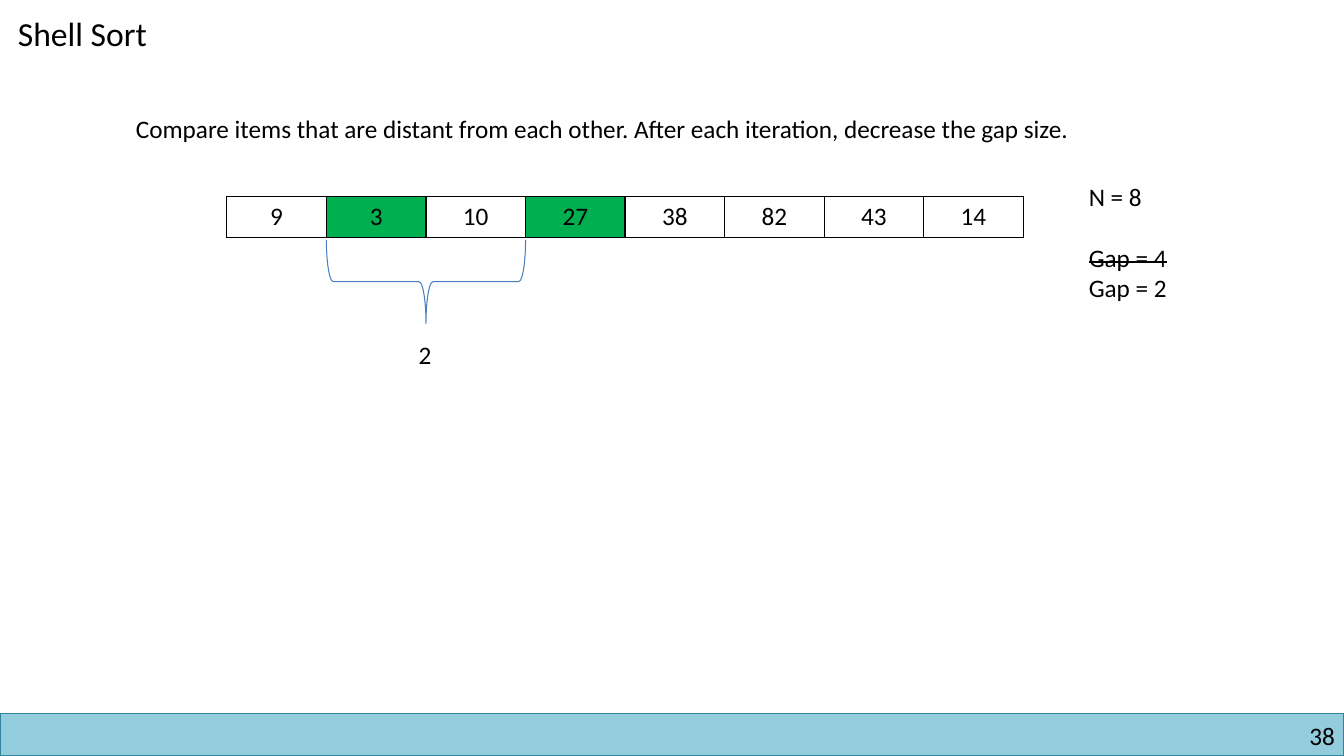
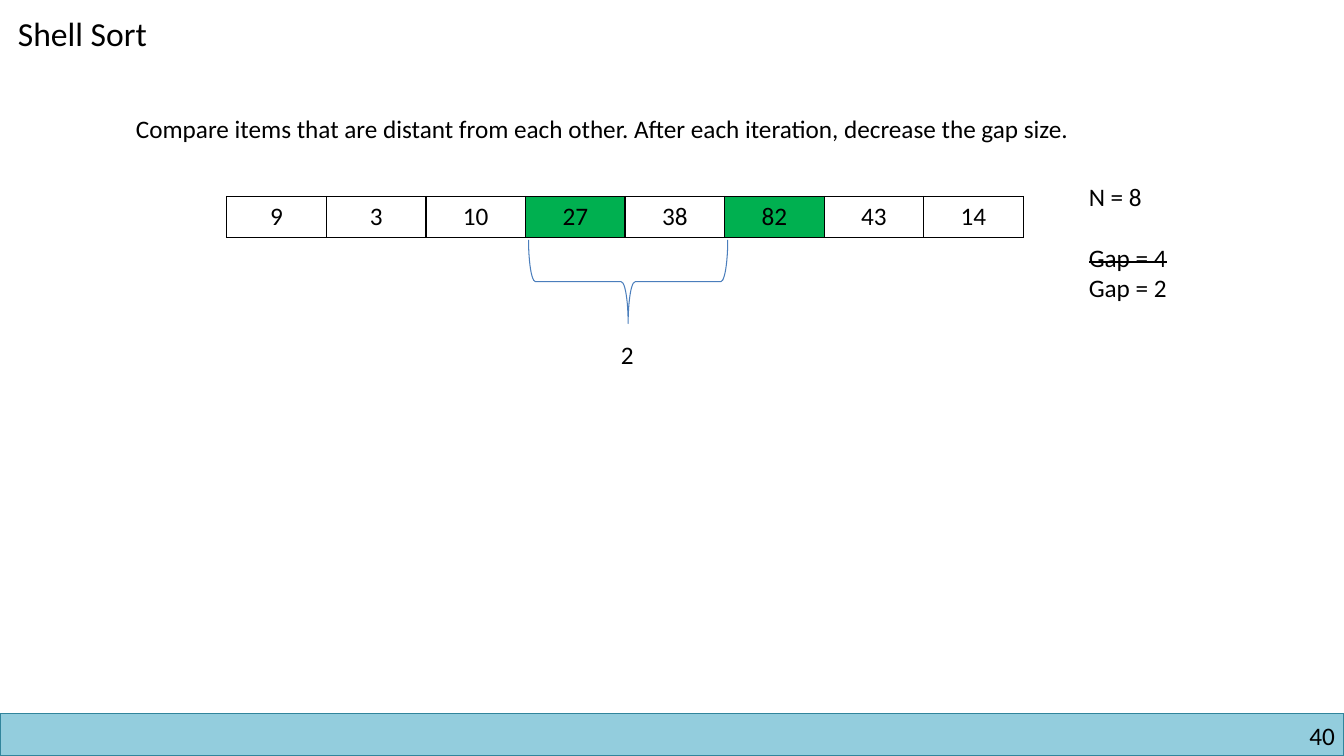
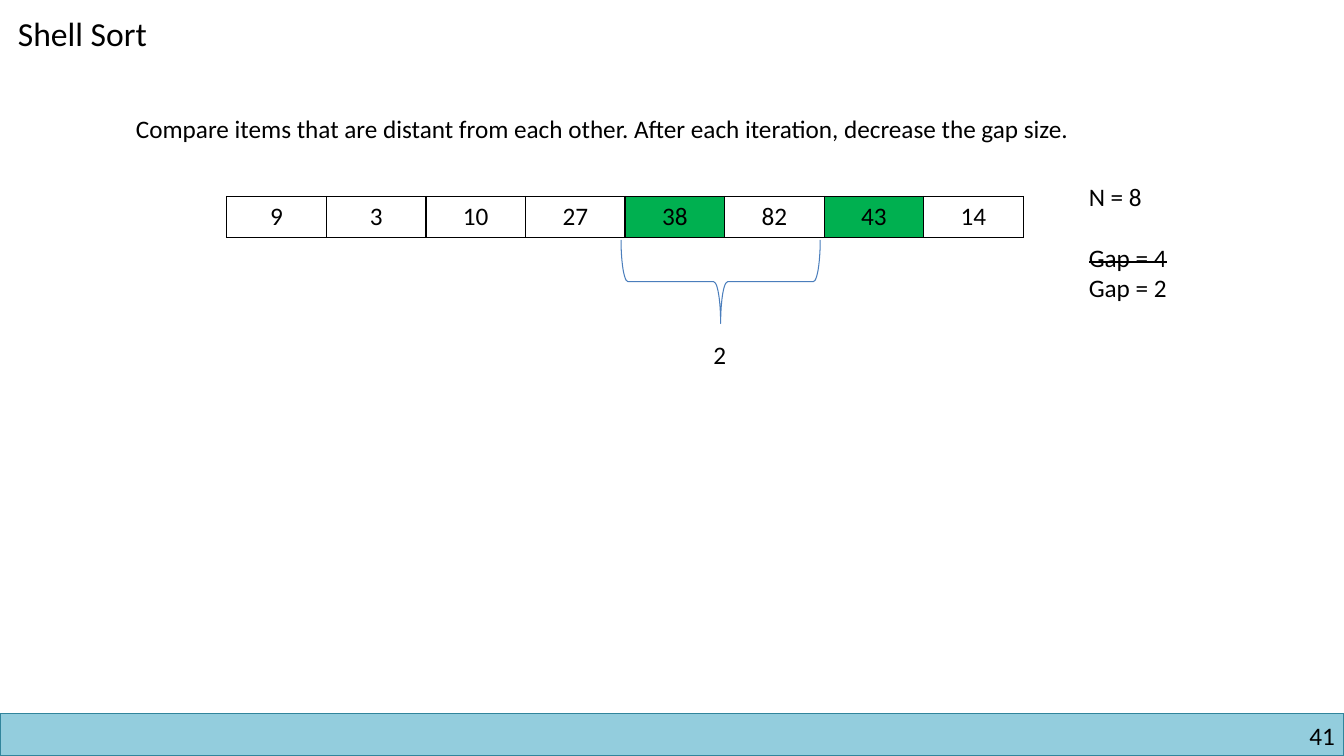
from dataclasses import dataclass

from lxml import etree
from pptx import Presentation
from pptx.dml.color import RGBColor
from pptx.enum.shapes import MSO_SHAPE
from pptx.enum.text import MSO_ANCHOR, PP_ALIGN
from pptx.oxml.ns import qn
from pptx.util import Inches, Pt

RECTANGLE, LEFT_BRACE = MSO_SHAPE.RECTANGLE, MSO_SHAPE.LEFT_BRACE
LEFT, CENTER, RIGHT = PP_ALIGN.LEFT, PP_ALIGN.CENTER, PP_ALIGN.RIGHT
MIDDLE = MSO_ANCHOR.MIDDLE

BLACK = RGBColor(0x00, 0x00, 0x00)
WHITE = RGBColor(0xFF, 0xFF, 0xFF)
GREEN = RGBColor(0x00, 0xB0, 0x50)
BRACE_BLUE = RGBColor(0x4B, 0x7E, 0xBC)
BAND_FILL = RGBColor(0x93, 0xCD, 0xDD)
BAND_LINE = RGBColor(0x31, 0x85, 0x9C)

FONT = "Calibri"
TITLE_SIZE, BODY_SIZE = 24, 18
LINE_HEIGHT = 22  # points, one line of body text

SLIDE_W, SLIDE_H = 13.33, 7.5
BAND_H = 0.42
ARRAY_LEFT, ARRAY_TOP = 2.25, 1.95
ARRAY_W, ARRAY_H = 7.9, 0.41
BRACE_TOP, BRACE_DEPTH = 2.38, 0.83
LABEL_TOP, LABEL_W, LABEL_H = 3.32, 0.34, 0.4

TITLE = "Shell Sort"
STATEMENT = ("Compare items that are distant from each other. "
             "After each iteration, decrease the gap size.")
ITEMS = (9, 3, 10, 27, 38, 82, 43, 14)
GAP, OLD_GAP = 2, 4
COL_W = ARRAY_W / len(ITEMS)


@dataclass(frozen=True)
class Step:
    """One comparison: items[first] against items[first + GAP]."""
    number: int
    first: int
    brace_shift: float = 0


STEPS = (Step(38, 1), Step(40, 3, 0.03), Step(41, 4, -0.04))


def write(p, text: str, *, size: int = BODY_SIZE, align=LEFT,
          strike: bool = False, space_before: int = 0) -> None:
    p.alignment = align
    p.space_before = Pt(space_before)
    r = p.add_run()
    r.text = text
    r.font.name, r.font.size = FONT, Pt(size)
    r.font.color.rgb = BLACK
    if strike:
        r.font._element.set("strike", "sngStrike")


def add_text(slide, left: float, top: float, width: float, height: float,
             text: str, *, inset: bool = True, **fmt):
    """Add a text box holding one paragraph and return its text frame."""
    sp = slide.shapes.add_textbox(Inches(left), Inches(top),
                                  Inches(width), Inches(height))
    tf = sp.text_frame
    tf.word_wrap = True
    if not inset:
        tf.margin_left = tf.margin_right = tf.margin_top = tf.margin_bottom = 0
    write(tf.paragraphs[0], text, **fmt)
    return tf


def add_shape(slide, kind, left: float, top: float, width: float,
              height: float, *, line: RGBColor, weight: float,
              fill: RGBColor | None = None):
    sp = slide.shapes.add_shape(kind, Inches(left), Inches(top),
                                Inches(width), Inches(height))
    sp.shadow.inherit = False
    if fill is None:
        sp.fill.background()
    else:
        sp.fill.solid()
        sp.fill.fore_color.rgb = fill
    sp.line.color.rgb = line
    sp.line.width = Pt(weight)
    return sp


def add_frame(slide, number: int) -> None:
    """Draw the footer band, slide number, title and opening statement."""
    add_shape(slide, RECTANGLE, 0, SLIDE_H - BAND_H, SLIDE_W, BAND_H,
              line=BAND_LINE, weight=1, fill=BAND_FILL)
    add_text(slide, 10.17, 7.15, 3.07, 0.3, str(number),
             inset=False, align=RIGHT)
    add_text(slide, 0.08, 0.08, 1.66, 0.5, TITLE, size=TITLE_SIZE)
    add_text(slide, 1.25, 1.08, 10.36, 0.4, STATEMENT)


def set_borders(cell) -> None:
    """Put a 1 pt black line on all four sides, ahead of the cell's fill."""
    props = cell._tc.get_or_add_tcPr()
    for i, side in enumerate(("lnL", "lnR", "lnT", "lnB")):
        ln = etree.Element(qn(f"a:{side}"), w=str(Pt(1)))
        fill = etree.SubElement(ln, qn("a:solidFill"))
        etree.SubElement(fill, qn("a:srgbClr"), val=str(BLACK))
        props.insert(i, ln)


def add_array(slide, compared: tuple[int, int]) -> None:
    table = slide.shapes.add_table(
        1, len(ITEMS), Inches(ARRAY_LEFT), Inches(ARRAY_TOP),
        Inches(ARRAY_W), Inches(ARRAY_H)).table
    table.first_row = table.horz_banding = False
    for i, item in enumerate(ITEMS):
        table.columns[i].width = Inches(COL_W)
        cell = table.cell(0, i)
        cell.vertical_anchor = MIDDLE
        cell.fill.solid()
        cell.fill.fore_color.rgb = GREEN if i in compared else WHITE
        set_borders(cell)
        write(cell.text_frame.paragraphs[0], str(item), align=CENTER)


def add_gap_list(slide) -> None:
    tf = add_text(slide, 10.7, 1.75, 1.11, 1.31, f"N = {len(ITEMS)}")
    write(tf.add_paragraph(), f"Gap = {OLD_GAP}", strike=True,
          space_before=LINE_HEIGHT)
    write(tf.add_paragraph(), f"Gap = {GAP}")


def add_brace(slide, step: Step) -> None:
    """Draw a brace below the array, spanning the gap, and its label."""
    span = GAP * COL_W
    center = ARRAY_LEFT + step.first * COL_W + span / 2 + step.brace_shift
    middle = BRACE_TOP + BRACE_DEPTH / 2
    brace = add_shape(slide, LEFT_BRACE, center - BRACE_DEPTH / 2,
                      middle - span / 2, BRACE_DEPTH, span,
                      line=BRACE_BLUE, weight=0.75)
    brace.rotation = 270
    add_text(slide, center - LABEL_W / 2, LABEL_TOP, LABEL_W, LABEL_H,
             str(GAP))


def main() -> None:
    prs = Presentation()
    prs.slide_width, prs.slide_height = Inches(SLIDE_W), Inches(SLIDE_H)
    blank = prs.slide_layouts[6]
    for step in STEPS:
        slide = prs.slides.add_slide(blank)
        add_frame(slide, step.number)
        add_array(slide, (step.first, step.first + GAP))
        add_gap_list(slide)
        add_brace(slide, step)
    prs.save("out.pptx")


if __name__ == "__main__":
    main()
